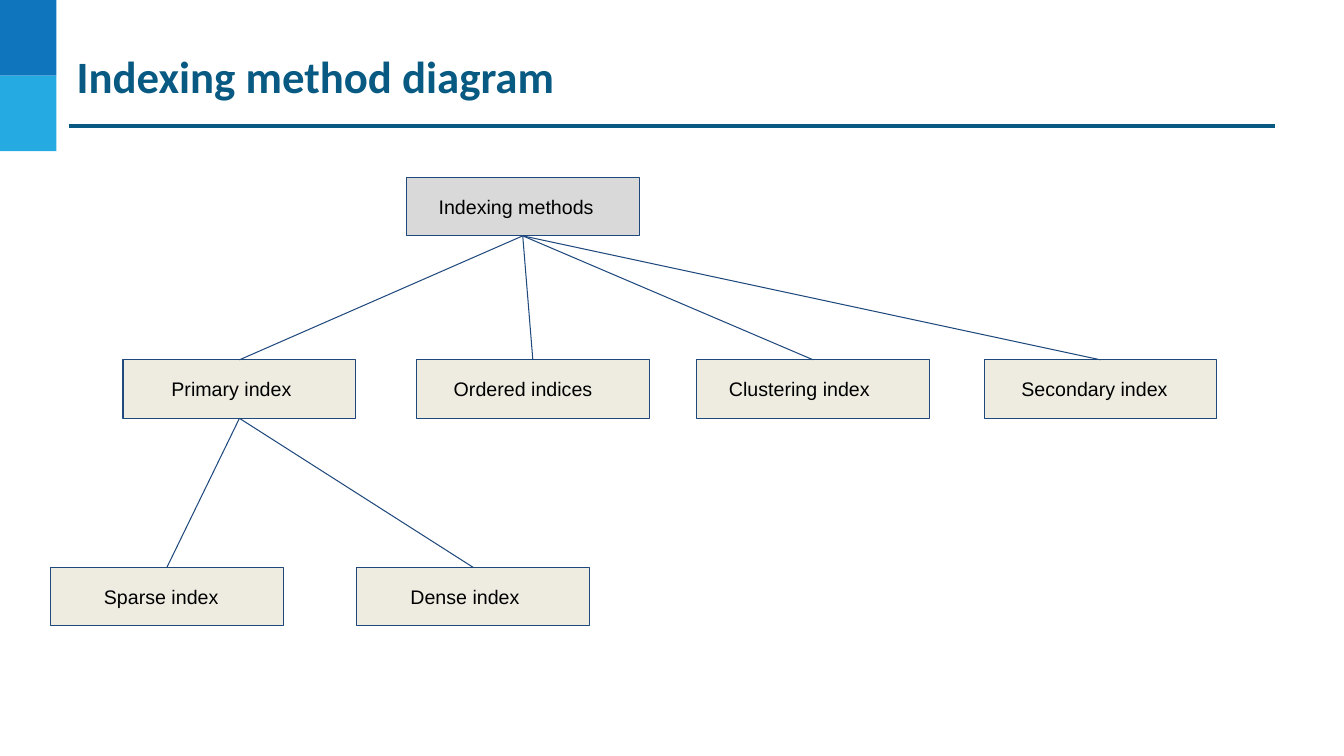
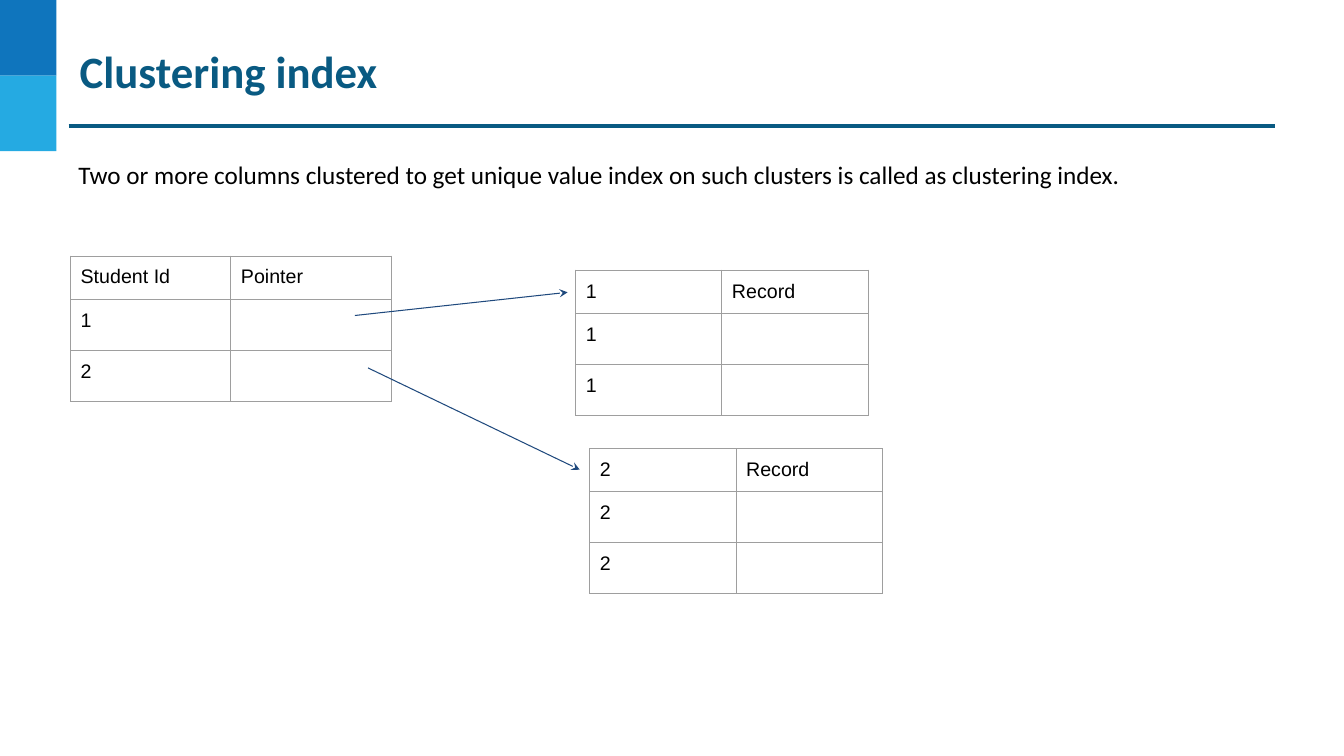
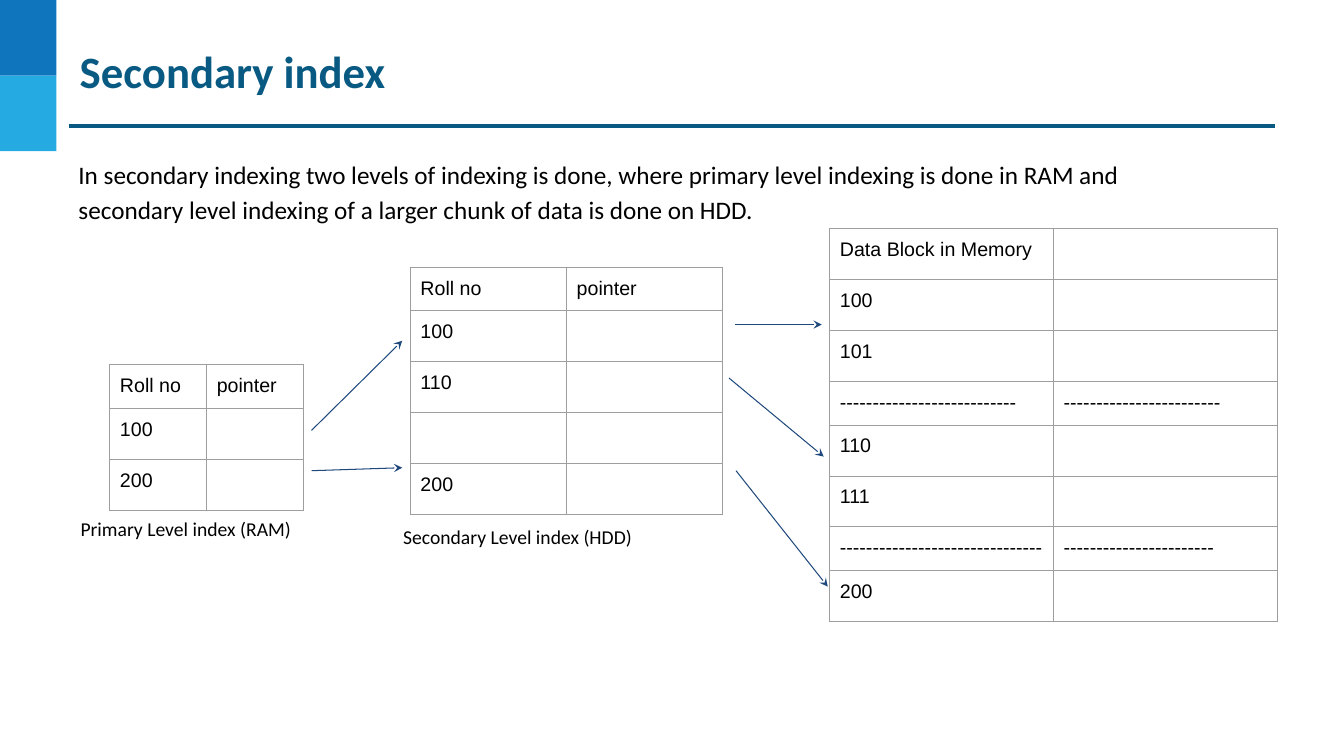
from dataclasses import dataclass

from pptx import Presentation
from pptx import oxml
from pptx.dml.color import RGBColor
from pptx.enum import shapes, text
from pptx.oxml import ns
from pptx.util import Inches, Pt


@dataclass(frozen=True)
class Theme:
    """Colours, fonts and type sizes of the whole deck."""
    band_dark: str = "0F75BD"
    band_light: str = "25AAE2"
    accent: str = "095A82"
    outline: str = "1F497D"
    root_fill: str = "D9D9D9"
    node_fill: str = "EEECE1"
    grid: str = "9E9E9E"
    paper: str = "FFFFFF"
    ink: str = "000000"
    heading_font: str = "Calibri"
    label_font: str = "Arial"
    title_size: int = 32
    body_size: int = 18
    label_size: int = 14
    thin: float = 0.75
    thick: float = 2.25


class DeckBuilder:
    NODE_WIDTH, NODE_HEIGHT = 2.31, 0.58
    TEXT_ROW, OPEN_ROW = 0.43, 0.5  # an empty cell makes its row taller

    def __init__(self, theme):
        self.theme = theme
        self.deck = Presentation()
        self.deck.slide_width = Inches(13.33)
        self.deck.slide_height = Inches(7.5)
        self.page = None

    def new_page(self, title, left=0.77, top=0.41):
        """Start a slide with the side bands, the rule and the title."""
        theme = self.theme
        self.page = self.deck.slides.add_slide(self.deck.slide_layouts[5])
        for row, color in enumerate((theme.band_dark, theme.band_light)):
            self.rectangle(0, row * 0.75, 0.56, 0.75, color)
        self.line((0.68, 1.25), (12.65, 1.25), theme.accent, theme.thick)

        box = self.page.shapes.title
        box.left, box.top = Inches(left), Inches(top)
        box.width, box.height = Inches(11.97), Inches(0.58)
        self.set_text(box, title, theme.heading_font, theme.title_size,
                      theme.accent, inset=0.02, bold=True)

    def format_runs(self, frame, font, size, color, bold=False):
        for para in frame.paragraphs:
            para.alignment = text.PP_ALIGN.LEFT
            for span in para.runs:
                span.font.name = font
                span.font.size = Pt(size)
                span.font.bold = bold
                span.font.color.rgb = RGBColor.from_string(color)

    def set_text(self, box, words, font, size, color, inset=0.1, bold=False,
                 anchor=text.MSO_ANCHOR.TOP):
        frame = box.text_frame
        frame.text = words
        frame.word_wrap = True
        frame.auto_size = text.MSO_AUTO_SIZE.NONE
        frame.vertical_anchor = anchor
        frame.margin_left = frame.margin_right = Inches(inset)
        frame.margin_top = frame.margin_bottom = Inches(inset)
        self.format_runs(frame, font, size, color, bold)
        return frame

    def text_box(self, words, left, top, width, height, size, spacing=1.0):
        box = self.page.shapes.add_textbox(
            Inches(left), Inches(top), Inches(width), Inches(height))
        frame = self.set_text(box, words, self.theme.heading_font, size,
                              self.theme.ink)
        frame.paragraphs[0].line_spacing = spacing

    def body(self, words, height):
        self.text_box(words, 0.68, 1.44, 10.9, height,
                      self.theme.body_size, spacing=1.15)

    def caption(self, words, left, top):
        self.text_box(words, left, top, 3.28, 0.44, self.theme.label_size)

    def rectangle(self, left, top, width, height, fill):
        shape = self.page.shapes.add_shape(
            shapes.MSO_SHAPE.RECTANGLE, Inches(left), Inches(top),
            Inches(width), Inches(height))
        shape.shadow.inherit = False
        shape.fill.solid()
        shape.fill.fore_color.rgb = RGBColor.from_string(fill)
        shape.line.fill.background()
        return shape

    def node(self, words, left, top, indent, fill=None):
        """Outlined box whose label starts at the given indent."""
        theme = self.theme
        shape = self.rectangle(left, top, self.NODE_WIDTH, self.NODE_HEIGHT,
                               fill or theme.node_fill)
        shape.line.color.rgb = RGBColor.from_string(theme.outline)
        shape.line.width = Pt(theme.thin)
        frame = self.set_text(shape, words, theme.label_font,
                              theme.label_size, theme.ink,
                              anchor=text.MSO_ANCHOR.MIDDLE)
        frame.margin_left = Inches(indent)
        return shape

    def line(self, start, end, color=None, width=None, arrow=False):
        connector = self.page.shapes.add_connector(
            shapes.MSO_CONNECTOR.STRAIGHT,
            *(Inches(value) for value in (*start, *end)))
        connector.line.color.rgb = RGBColor.from_string(
            color or self.theme.outline)
        connector.line.width = Pt(width or self.theme.thin)
        properties = connector._element.spPr
        if arrow:
            properties.get_or_add_ln().append(oxml.parse_xml(
                f'<a:tailEnd {ns.nsdecls("a")} type="stealth"/>'))
        properties.append(oxml.parse_xml(
            f'<a:effectLst {ns.nsdecls("a")}/>'))
        return connector

    def branch(self, parent, child):
        """Join the bottom of the parent to the top of the child."""
        connector = self.line((0, 0), (1, 1))
        connector.begin_connect(parent, 2)
        connector.end_connect(child, 0)

    def arrows(self, *ends):
        for start, end in ends:
            self.line(start, end, arrow=True)

    def table(self, left, top, column_width, rows):
        heights = [self.TEXT_ROW if all(row) else self.OPEN_ROW
                   for row in rows]
        columns = len(rows[0])
        table = self.page.shapes.add_table(
            len(rows), columns, Inches(left), Inches(top),
            Inches(column_width * columns), Inches(sum(heights))).table
        table.first_row = table.horz_banding = False
        for column in table.columns:
            column.width = Inches(column_width)
        for row, height, values in zip(table.rows, heights, rows):
            row.height = Inches(height)
            for cell, value in zip(row.cells, values):
                self.fill_cell(cell, value)

    def fill_cell(self, cell, value):
        theme = self.theme
        cell.margin_left = cell.margin_right = Inches(0.1)
        cell.margin_top = cell.margin_bottom = Inches(0.1)
        properties = cell._tc.get_or_add_tcPr()
        for side in "LRTB":
            properties.append(oxml.parse_xml(
                f'<a:ln{side} {ns.nsdecls("a")} w="{Pt(theme.thin)}">'
                f'<a:solidFill><a:srgbClr val="{theme.grid}"/></a:solidFill>'
                f'</a:ln{side}>'))
        cell.fill.solid()
        cell.fill.fore_color.rgb = RGBColor.from_string(theme.paper)
        if value:
            cell.text_frame.text = value
            self.format_runs(cell.text_frame, theme.label_font,
                             theme.label_size, theme.ink)


def method_diagram(builder):
    builder.new_page("Indexing method diagram", left=0.74, top=0.46)
    root = builder.node("Indexing methods", 4.03, 1.76, 0.32,
                        builder.theme.root_fill)

    # Second level
    methods = [builder.node(words, left, 3.57, indent)
               for words, left, indent in (
                   ("Primary index", 1.22, 0.48),
                   ("Ordered indices", 4.13, 0.37),
                   ("Clustering index", 6.91, 0.32),
                   ("Secondary index", 9.76, 0.37))]

    # Kinds of primary index
    kinds = [builder.node(words, left, 5.63, 0.53)
             for words, left in (("Sparse index", 0.5),
                                 ("Dense index", 3.54))]

    for parent, children in ((root, methods), (methods[0], kinds)):
        for child in children:
            builder.branch(parent, child)


def clustering_index(builder):
    builder.new_page("Clustering index")
    builder.body("Two or more columns clustered to get unique value index on "
                 "such clusters is called as clustering index.", 0.5)
    builder.table(0.7, 2.54, 1.59,
                  [("Student Id", "Pointer"), ("1", ""), ("2", "")])
    for key, left, top in (("1", 5.71, 2.68), ("2", 5.85, 4.45)):
        builder.table(left, top, 1.45,
                      [(key, "Record"), (key, ""), (key, "")])
    builder.arrows(((3.52, 3.13), (5.63, 2.9)),
                   ((3.65, 3.65), (5.75, 4.66)))


def secondary_index(builder):
    builder.new_page("Secondary index")
    builder.body("In secondary indexing two levels of indexing is done, where "
                 "primary level indexing is done in RAM and secondary level "
                 "indexing of a larger chunk of data is done on HDD.", 0.85)

    # Index levels and data block
    header = ("Roll no", "pointer")
    builder.table(1.09, 3.62, 0.96, [header, ("100", ""), ("200", "")])
    builder.table(4.07, 2.65, 1.55, [header, ("100", ""), ("110", ""),
                                     ("", ""), ("200", "")])
    builder.table(8.23, 2.27, 2.22, [
        ("Data Block in Memory", ""), ("100", ""), ("101", ""),
        ("-" * 27, "-" * 24), ("110", ""), ("111", ""),
        ("-" * 31, "-" * 23), ("200", "")])

    # Pointers
    builder.arrows(((3.09, 4.27), (3.99, 3.38)),
                   ((3.09, 4.67), (3.99, 4.64)),
                   ((7.29, 3.22), (8.15, 3.22)),
                   ((7.23, 3.75), (8.17, 4.53)),
                   ((7.3, 4.67), (8.21, 5.82)))
    builder.caption("Primary Level index (RAM)", 0.7, 5.03)
    builder.caption("Secondary Level index (HDD)", 3.9, 5.11)


def main():
    builder = DeckBuilder(Theme())
    for build_page in (method_diagram, clustering_index, secondary_index):
        build_page(builder)
    builder.deck.save("out.pptx")


if __name__ == "__main__":
    main()
